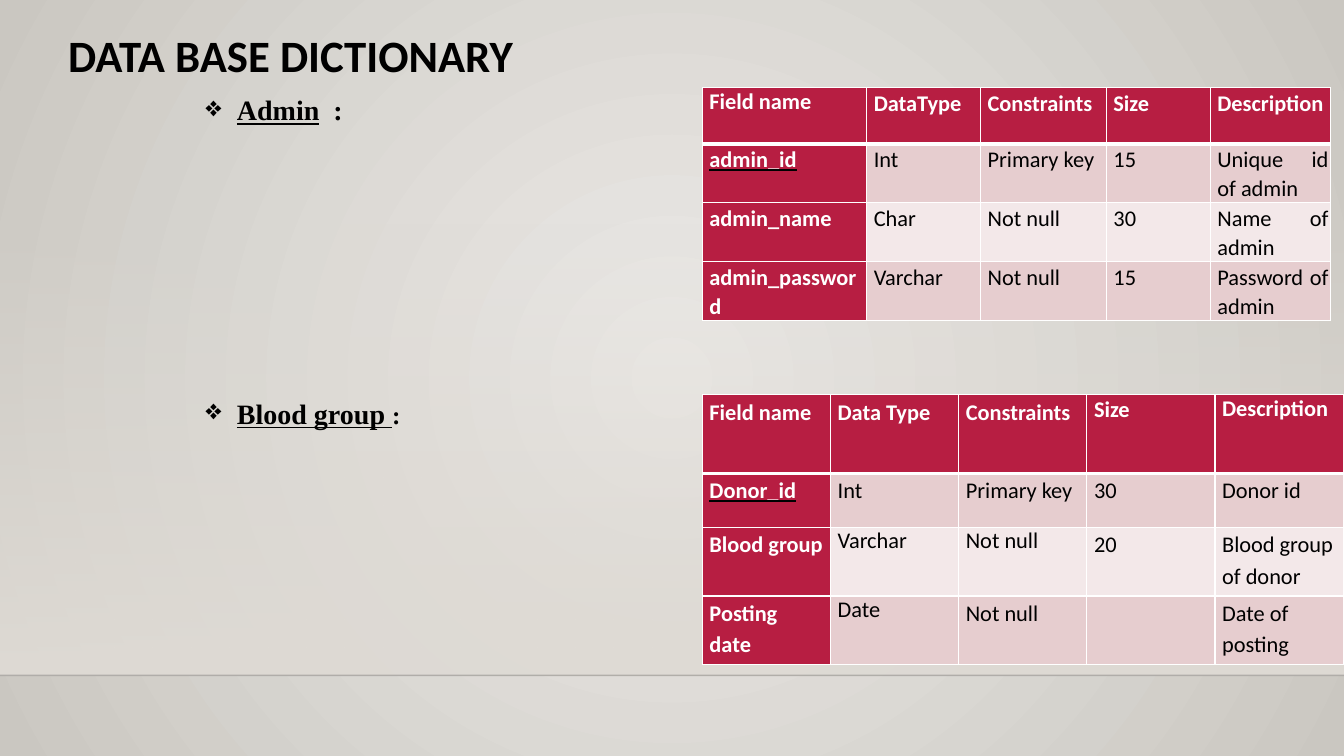
from itertools import product

from lxml import etree
from pptx import Presentation
from pptx.dml.color import RGBColor
from pptx.enum import shapes, text
from pptx.oxml import ns
from pptx.util import Cm, Pt

COLORS = {
    "center": "ECEAE7", "edge": "CAC7C1", "floor": "DFDBD5", "horizon": "000001",
    "ink": "000000", "white": "FFFFFF", "crimson": "B71E42",
    "band_dark": "E6CDCF", "band_light": "F3E8E9",
}
SLIDE_W, SLIDE_H = 33.87, 19.05
TABLE_LEFT = 17.7
JUSTIFY, LEFT = text.PP_ALIGN.JUSTIFY, text.PP_ALIGN.LEFT

ADMIN = {
    "rows": [
        ["Field name", "DataType", "Constraints", "Size", "Description"],
        ["admin_id", "Int", "Primary key", "15", "Unique id of admin"],
        ["admin_name", "Char", "Not null", "30", "Name of admin"],
        ["admin_password", "Varchar", "Not null", "15", "Password of admin"],
    ],
    "widths": [4.14, 2.87, 3.17, 2.62, 3.02],
    "heights": [1.42, 1.48, 1.48, 1.48],
    "margins": {"margin_left": 0.18, "margin_top": 0.02, "margin_right": 0.04, "margin_bottom": 0},
    "paragraph": {"alignment": JUSTIFY, "line_spacing": 1.06},
    "exceptions": {(0, 0): {"line_spacing": 1.0}},
}
TIGHT = {"alignment": JUSTIFY, "line_spacing": 1.0}
BLOOD_GROUP = {
    "rows": [
        ["Field name", "Data Type", "Constraints", "Size", "Description"],
        ["Donor_id", "Int", "Primary key", "30", "Donor id"],
        ["Blood group", "Varchar", "Not null", "20", "Blood group of donor"],
        ["Posting date", "Date", "Not null", "", "Date of posting"],
    ],
    "widths": [3.23] * 5,
    "heights": [1.98, 1.36, 1.73, 1.73],
    "margins": {"margin_left": 0.18, "margin_top": 0, "margin_right": 0.18, "margin_bottom": 0},
    "paragraph": {"alignment": LEFT, "line_spacing": 1.15},
    "exceptions": {
        (0, 3): {"alignment": JUSTIFY, "line_spacing": 1.06},
        (0, 4): TIGHT, (2, 1): TIGHT, (2, 2): TIGHT, (3, 1): TIGHT,
    },
}


def rgb(name):
    return RGBColor.from_string(COLORS[name])


def apply(target, formats):
    for key, value in formats.items():
        setattr(target, key, value)


def sub(parent, tag, **attributes):
    return etree.SubElement(parent, ns.qn(tag), attributes)


def add_words(paragraph, words, size, font, color, **formats):
    run = paragraph.add_run()
    run.text = words
    apply(run.font, {"size": Pt(size), "name": font, **formats})
    run.font.color.rgb = rgb(color)
    return run


def set_gradient(fill, first, last):
    fill.gradient()
    for stop, position, name in zip(fill.gradient_stops, (0, 1), (first, last)):
        stop.position = position
        stop.color.rgb = rgb(name)


def draw_backdrop(slide, top, horizon):
    """Radial background, a floor that fades in from the top, and a horizon line."""
    set_gradient(slide.background.fill, "center", "edge")
    radial = slide.element.find(".//" + ns.qn("a:gradFill"))
    radial.remove(radial.find(ns.qn("a:lin")))
    circle = sub(radial, "a:path", path="circle")
    sub(circle, "a:fillToRect", l="50000", t="50000", r="50000", b="50000")

    floor = slide.shapes.add_shape(
        shapes.MSO_SHAPE.RECTANGLE, 0, Cm(top), Cm(SLIDE_W), Cm(horizon - top))
    floor.shadow.inherit = False
    floor.line.fill.background()
    set_gradient(floor.fill, "floor", "floor")
    floor.fill.gradient_angle = 270
    sub(floor.element.find(".//" + ns.qn("a:srgbClr")), "a:alpha", val="0")

    line = slide.shapes.add_connector(
        shapes.MSO_CONNECTOR.STRAIGHT, 0, Cm(horizon), Cm(SLIDE_W), Cm(horizon))
    line.line.width = Pt(1)
    line.line.color.rgb = rgb("horizon")
    sub(line.element.find(".//" + ns.qn("a:srgbClr")), "a:alpha", val="20000")
    sub(line.element.spPr, "a:effectLst")


def add_text_line(slide, left, top, width, height):
    box = slide.shapes.add_textbox(Cm(left), Cm(top), Cm(width), Cm(height))
    box.text_frame.word_wrap = False
    return box.text_frame.paragraphs[0]


def draw_title(slide, left, top, width, height):
    title = add_text_line(slide, left, top, width, height)
    add_words(title, "DATA BASE DICTIONARY", 32, "Calibri", "ink", bold=True)


def draw_entity_name(slide, left, top, width, height, name, ending, ending_size):
    """Bulleted, underlined entity name followed by a plain colon."""
    heading = add_text_line(slide, left, top, width, height)
    properties = heading._p.get_or_add_pPr()
    properties.set("marL", str(Cm(0.79)))
    properties.set("indent", str(-Cm(0.79)))
    sub(properties, "a:buChar", char="❖")
    add_words(heading, name, 20, "Times New Roman", "ink", bold=True, underline=True)
    add_words(heading, ending, ending_size, "Times New Roman", "ink", bold=True)


def set_borders(cell, bottom):
    properties = cell._tc.get_or_add_tcPr()
    for index, (side, points) in enumerate(zip("LRTB", (1, 1, 1, bottom))):
        border = sub(properties, f"a:ln{side}", w=str(Pt(points)))
        sub(sub(border, "a:solidFill"), "a:srgbClr", val=COLORS["white"])
        properties.insert(index, border)


def underline_key(run):
    """Underline a primary key in black beneath its white letters."""
    run.font.underline = True
    underline = etree.Element(ns.qn("a:uFill"))
    sub(sub(underline, "a:solidFill"), "a:srgbClr", val=COLORS["ink"])
    run.font._element.find(ns.qn("a:solidFill")).addnext(underline)


def draw_dictionary(slide, left, top, entity):
    """Field table with a crimson header row and a crimson first column."""
    rows, widths, heights = entity["rows"], entity["widths"], entity["heights"]
    frame = slide.shapes.add_table(
        len(rows), len(widths), Cm(left), Cm(top), Cm(sum(widths)), Cm(sum(heights)))
    fields = frame.table
    apply(fields, {"first_row": False, "horz_banding": False})
    for column, width in zip(fields.columns, widths):
        column.width = Cm(width)
    for row, height in zip(fields.rows, heights):
        row.height = Cm(height)

    for r, c in product(range(len(rows)), range(len(widths))):
        cell = fields.cell(r, c)
        emphasized = r == 0 or c == 0
        band = "band_dark" if r % 2 else "band_light"
        cell.fill.solid()
        cell.fill.fore_color.rgb = rgb("crimson" if emphasized else band)
        set_borders(cell, 3 if r == 0 else 1)
        apply(cell, {side: Cm(gap) for side, gap in entity["margins"].items()})
        paragraph = cell.text_frame.paragraphs[0]
        apply(paragraph, {**entity["paragraph"], **entity["exceptions"].get((r, c), {})})
        if rows[r][c]:
            run = add_words(paragraph, rows[r][c], 16, "Calibri",
                            "white" if emphasized else "ink", bold=emphasized)
            if (r, c) == (1, 0):
                underline_key(run)


def main():
    deck = Presentation()
    apply(deck, {"slide_width": Cm(SLIDE_W), "slide_height": Cm(SLIDE_H)})
    slide = deck.slides.add_slide(deck.slide_layouts[6])
    draw_backdrop(slide, 5.61, 17.02)
    draw_title(slide, 1.47, 0.58, 15.11, 1.63)
    draw_entity_name(slide, 4.93, 2.21, 4.01, 1.96, "Admin", "  :", 20)
    draw_dictionary(slide, TABLE_LEFT, 2.21, ADMIN)
    draw_entity_name(slide, 4.93, 9.86, 5.49, 1.88, "Blood group ", ":", 18)
    draw_dictionary(slide, TABLE_LEFT, 9.95, BLOOD_GROUP)
    deck.save("out.pptx")


if __name__ == "__main__":
    main()
